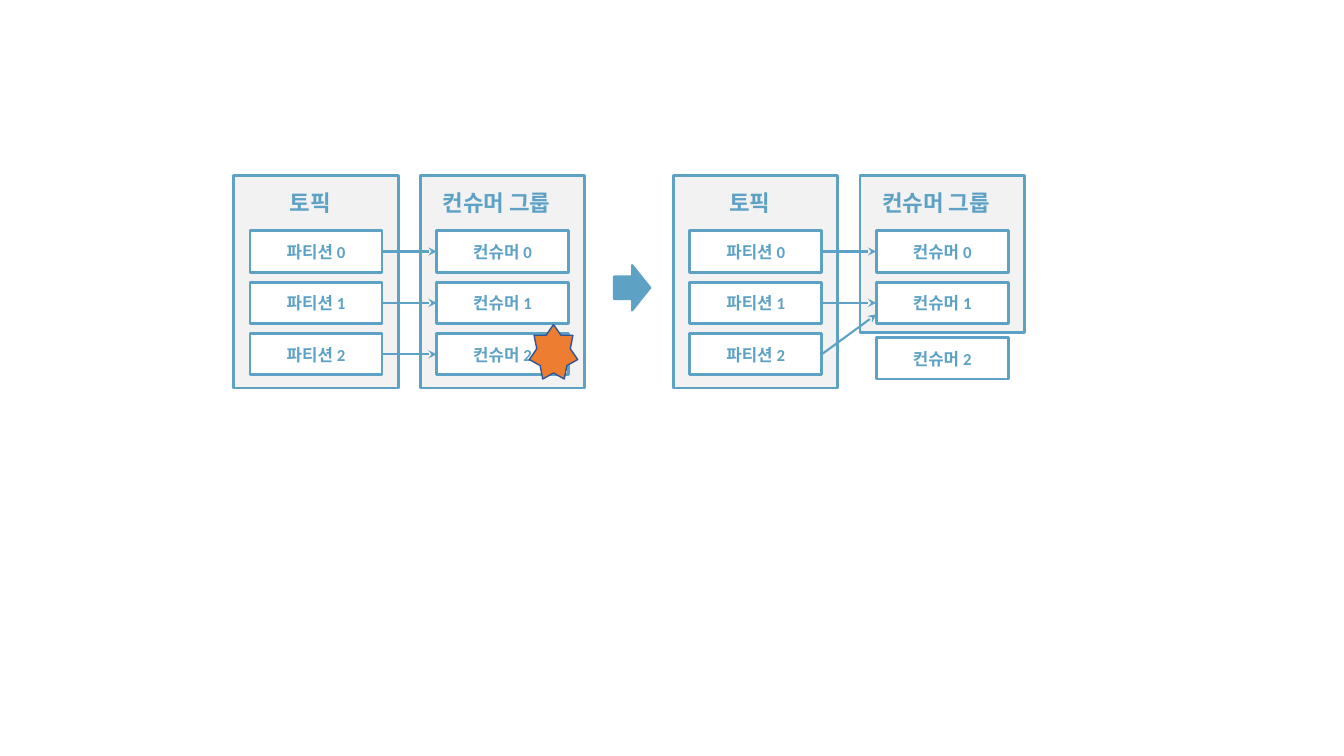
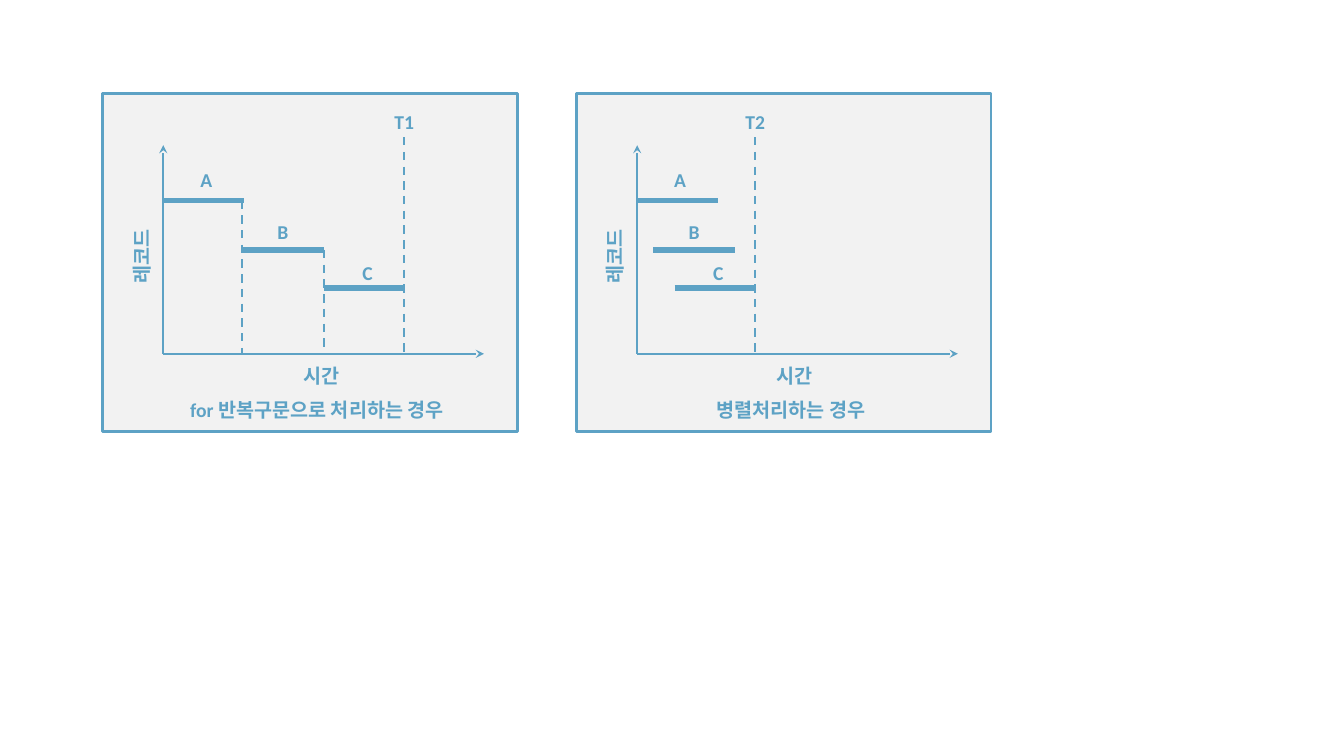
from lxml import etree
from pptx import Presentation
from pptx.dml.color import RGBColor
from pptx.enum.dml import MSO_LINE
from pptx.enum.shapes import MSO_CONNECTOR, MSO_SHAPE
from pptx.enum.text import MSO_ANCHOR, MSO_AUTO_SIZE, PP_ALIGN
from pptx.oxml.ns import qn
from pptx.util import Inches, Pt

RECTANGLE = MSO_SHAPE.RECTANGLE
STAR = MSO_SHAPE.STAR_7_POINT
RIGHT_ARROW = MSO_SHAPE.RIGHT_ARROW
STRAIGHT = MSO_CONNECTOR.STRAIGHT
DASH = MSO_LINE.DASH
CENTER = PP_ALIGN.CENTER
MIDDLE = MSO_ANCHOR.MIDDLE
GROW = MSO_AUTO_SIZE.SHAPE_TO_FIT_TEXT
LEFT_SIDE, RIGHT_SIDE = 1, 3

BLUE, GREY, WHITE = "5DA2C5", "F2F2F2", "FFFFFF"
ORANGE, NAVY = "ED7D31", "325491"
FONT = "Calibri"

# Panels of the consumer group slide
PANEL_TOP, PANEL_WIDTH, PANEL_HEIGHT = 1.74, 1.63, 2.11
GROUP_OFFSET = 1.85
ITEM_INDENT, ITEM_WIDTH, ITEM_HEIGHT = 0.16, 1.31, 0.41
FIRST_ROW, ROW_STEP = 0.55, 0.51

# Time charts: offsets inside a panel
AXIS_LEFT, AXIS_RIGHT, AXIS_TOP, AXIS_BASE = 0.6, 3.78, 0.51, 2.58
BAR_LENGTH = 0.81
LABEL_WIDTH, LABEL_HEIGHT = 0.49, 0.34
# name, bar height, label offset from the start of the bar, label top
RECORDS = [("A", 1.06, 0.19, 0.69), ("B", 1.55, 0.16, 1.2), ("C", 1.93, 0.19, 1.61)]


def color(value):
    return RGBColor.from_string(value)


def write(shape, text, size):
    frame = shape.text_frame
    frame.word_wrap = True
    para = frame.paragraphs[0]
    para.alignment = CENTER
    span = para.add_run()
    span.text = text
    span.font.name = FONT
    span.font.size = Pt(size)
    span.font.bold = True
    span.font.color.rgb = color(BLUE)


def add_figure(page, kind, box, fill, line=BLUE, width=2):
    shape = page.shapes.add_shape(kind, *map(Inches, box))
    shape.shadow.inherit = False
    if fill:
        shape.fill.solid()
        shape.fill.fore_color.rgb = color(fill)
    else:
        shape.fill.background()
    shape.line.color.rgb = color(line)
    shape.line.width = Pt(width)
    return shape


def add_label(page, box, text, size=14, rotation=0):
    label = page.shapes.add_textbox(*map(Inches, box))
    write(label, text, size)
    label.text_frame.auto_size = GROW
    label.rotation = rotation


def add_line(page, start, end, width=1.5, dash=None, arrow=False):
    line = page.shapes.add_connector(STRAIGHT, *map(Inches, (*start, *end)))
    line.line.color.rgb = color(BLUE)
    line.line.width = Pt(width)
    if dash:
        line.line.dash_style = dash
    if arrow:
        outline = line.line._get_or_add_ln()
        etree.SubElement(outline, qn("a:tailEnd"), type="stealth")
    etree.SubElement(line._element.spPr, qn("a:effectLst"))
    return line


def add_item(page, left, top, text, fill=WHITE):
    item = add_figure(page, RECTANGLE, (left, top, ITEM_WIDTH, ITEM_HEIGHT), fill)
    item.text_frame.vertical_anchor = MIDDLE
    write(item, text, 12)
    return item


def add_panel(page, left, title, name, count, height=PANEL_HEIGHT):
    """Draw a titled panel with numbered items and return the items."""
    add_figure(page, RECTANGLE, (left, PANEL_TOP, PANEL_WIDTH, height), GREY)
    add_label(page, (left - 0.12, PANEL_TOP + 0.09, 1.75, 0.37), title, 16)
    return [
        add_item(page, left + ITEM_INDENT, PANEL_TOP + FIRST_ROW + row * ROW_STEP, f"{name} {row}")
        for row in range(count)
    ]


def add_assignment(page, left, consumer_count, group_height):
    """Draw a topic, its consumer group, and the arrows between paired items."""
    partitions = add_panel(page, left, "토픽", "파티션", 3)
    consumers = add_panel(page, left + GROUP_OFFSET, "컨슈머 그룹", "컨슈머",
                          consumer_count, group_height)
    for partition, consumer in zip(partitions, consumers):
        arrow = add_line(page, (0, 0), (0, 0), arrow=True)
        arrow.begin_connect(partition, RIGHT_SIDE)
        arrow.end_connect(consumer, LEFT_SIDE)
    return partitions


def add_rebalance_page(page):
    before, after = 2.32, 6.68
    add_assignment(page, before, 3, PANEL_HEIGHT)
    add_figure(page, STAR, (5.25, 3.22, 0.48, 0.54), ORANGE, NAVY, 1)

    partitions = add_assignment(page, after, 2, 1.56)
    item_left = after + GROUP_OFFSET + ITEM_INDENT
    add_item(page, item_left, 3.35, "컨슈머 2", fill=None)
    moved = add_line(page, (after, PANEL_TOP), (item_left, 3.12), arrow=True)
    moved.begin_connect(partitions[-1], RIGHT_SIDE)

    add_figure(page, RIGHT_ARROW, (6.09, 2.63, 0.36, 0.45), BLUE, width=1.5)


def add_time_chart(page, box, starts, deadline, caption, sequential):
    """Draw record bars over time; sequential bars drop a line where the next begins."""
    left, top = box[:2]

    def at(x, y):
        return left + x, top + y

    def label(x, y, width, text, rotation=0):
        add_label(page, (*at(x, y), width, LABEL_HEIGHT), text, rotation=rotation)

    add_figure(page, RECTANGLE, box, GREY)
    origin = at(AXIS_LEFT, AXIS_BASE)
    for tip in (at(AXIS_LEFT, AXIS_TOP), at(AXIS_RIGHT, AXIS_BASE)):
        add_line(page, origin, tip, arrow=True)

    if sequential:
        for (_, height, _, _), x in zip(RECORDS, starts[1:]):
            add_line(page, at(x, height), at(x, AXIS_BASE), dash=DASH)
    finish = starts[-1] + BAR_LENGTH - 0.01
    add_line(page, at(finish, 0.43), at(finish, AXIS_BASE), dash=DASH)
    label(finish - LABEL_WIDTH / 2, 0.11, LABEL_WIDTH, deadline)

    for (name, height, shift, label_top), x in zip(RECORDS, starts):
        add_line(page, at(x, height), at(x + BAR_LENGTH, height), width=4)
        label(x + shift, label_top, LABEL_WIDTH, name)

    label(1.74, 2.63, 0.85, "시간")
    label(-0.04, 1.44, 0.85, "레코드", rotation=270)
    label(0.47, 2.97, 3.31, caption)


def add_processing_page(page):
    top, width, height = 0.93, 4.11, 3.35
    add_time_chart(page, (1.02, top, width, height), [0.59, 1.38, 2.19],
                   "T1", "for 반복구문으로 처리하는 경우", True)
    add_time_chart(page, (5.72, top, width, height), [0.59, 0.76, 0.97],
                   "T2", "병렬처리하는 경우", False)


def main():
    deck = Presentation()
    deck.slide_width, deck.slide_height = Inches(13.33), Inches(7.5)
    blank = deck.slide_layouts[6]
    for build in (add_rebalance_page, add_processing_page):
        build(deck.slides.add_slide(blank))
    deck.save("out.pptx")


if __name__ == "__main__":
    main()
